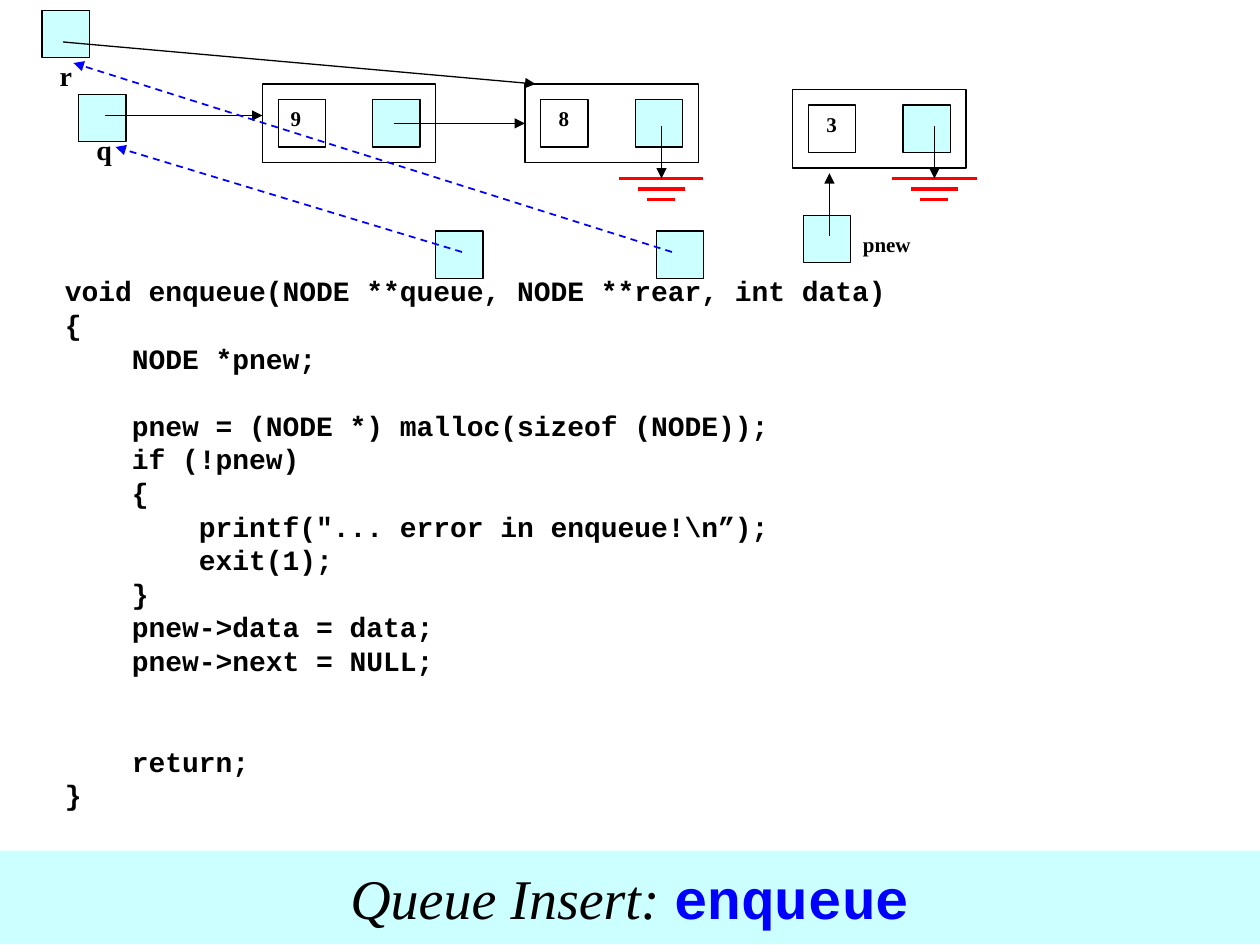
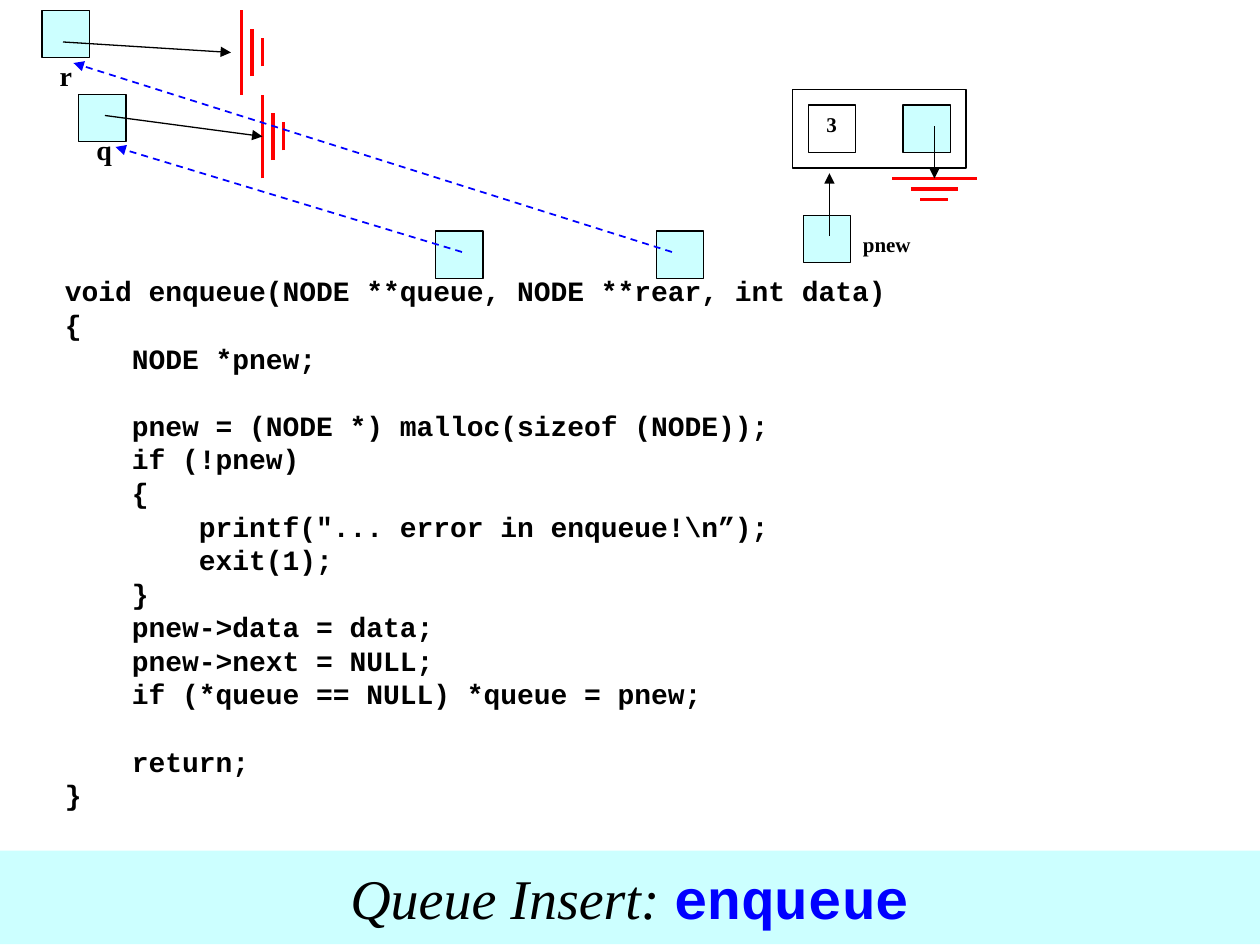
from pptx import Presentation
from pptx.dml.color import RGBColor
from pptx.enum.dml import MSO_LINE
from pptx.enum.shapes import MSO_CONNECTOR, MSO_SHAPE
from pptx.enum.text import MSO_ANCHOR, PP_ALIGN
from pptx.oxml.ns import qn
from pptx.util import Pt
from lxml import etree

BLACK = RGBColor(0x00, 0x00, 0x00)
WHITE = RGBColor(0xFF, 0xFF, 0xFF)
CYAN = RGBColor(0xCC, 0xFF, 0xFF)
BLUE = RGBColor(0x00, 0x00, 0xFF)
RED = RGBColor(0xFF, 0x00, 0x00)

SERIF, MONO = "Times New Roman", "Courier New"
LABEL = {"name": SERIF, "size": Pt(16), "bold": True}
SMALL = {"name": SERIF, "size": Pt(12), "bold": True}
CODE = {"name": MONO, "size": Pt(16), "bold": True}
TITLE = {"name": SERIF, "size": Pt(32), "italic": True}
TITLE_CODE = {"name": MONO, "size": Pt(32), "bold": True}

CELL = 27          # side of a pointer or data square
STEP = 6           # gap between the bars of a NULL symbol
CODE_PITCH = 19.2  # line height of the listing

LISTING_START = """void enqueue(NODE **queue, NODE **rear, int data)
{
    NODE *pnew;

    pnew = (NODE *) malloc(sizeof (NODE));
    if (!pnew)
    {
        printf("... error in enqueue!\\n”);
        exit(1);
    }
    pnew->data = data;
    pnew->next = NULL;
"""
LISTING_END = """

    return;
}"""
EMPTY_QUEUE_TEST = "    if (*queue == NULL) *queue = pnew;"


def set_font(font, style, color=BLACK):
    for attribute, value in style.items():
        setattr(font, attribute, value)
    font.color.rgb = color


def add_run(paragraph, text, style, color=BLACK):
    run = paragraph.add_run()
    run.text = text
    set_font(run.font, style, color)


def add_box(slide, left, top, width, height, fill=WHITE, line=BLACK):
    shape = slide.shapes.add_shape(
        MSO_SHAPE.RECTANGLE, Pt(left), Pt(top), Pt(width), Pt(height))
    shape.shadow.inherit = False
    shape.fill.solid()
    shape.fill.fore_color.rgb = fill
    if line is None:
        shape.line.fill.background()
    else:
        shape.line.color.rgb = line
        shape.line.width = Pt(0.75)
    return shape


def write_label(shape, text, style, inset=7.2):
    frame = shape.text_frame
    frame.word_wrap = True
    frame.vertical_anchor = MSO_ANCHOR.TOP
    frame.margin_left = Pt(inset)
    paragraph = frame.paragraphs[0]
    paragraph.alignment = PP_ALIGN.LEFT
    add_run(paragraph, text, style)


def add_line(slide, start, end, color=BLACK, width=0.75, dashed=False, arrow=True):
    connector = slide.shapes.add_connector(
        MSO_CONNECTOR.STRAIGHT, *(Pt(value) for value in (*start, *end)))
    connector.line.color.rgb = color
    connector.line.width = Pt(width)
    if dashed:
        connector.line.dash_style = MSO_LINE.DASH
    if arrow:
        line = connector.line._get_or_add_ln()
        etree.SubElement(line, qn("a:tailEnd"), type="triangle")
    etree.SubElement(connector._element.spPr, qn("a:effectLst"))
    return connector


def add_null(slide, x, y, vertical=False):
    """Three shrinking bars; (x, y) is the middle of the longest one."""
    for index, length in enumerate((48, 27, 16)):
        shift, half = index * STEP, length / 2
        if vertical:
            start, end = (x + shift, y + half), (x + shift, y - half)
        else:
            start, end = (x - half, y + shift), (x + half, y + shift)
        add_line(slide, start, end, RED, 2, arrow=False)


def add_node(slide, left, top, value, inset=10.2):
    """A list node: frame, next pointer and data cell."""
    frame = add_box(slide, left, top, 99, 45)
    add_box(slide, left + 63, top + 9, CELL, CELL, CYAN)
    data = add_box(slide, left + 9, top + 9, CELL, CELL)
    write_label(data, value, SMALL, inset)
    return frame


def add_null_link(slide, x, y):
    """A next pointer that leads down to NULL at (x, y)."""
    add_null(slide, x, y)
    add_line(slide, (x, 72), (x, y))


def add_pointer(slide, left, top, name, label_width):
    """A named pointer with its label below it."""
    label = add_box(slide, left + 3, top + 20, label_width, CELL, line=None)
    write_label(label, name, LABEL)


def add_queue_pointers(slide, left, top, rear_target, front_target):
    # Labels lie beneath the squares
    rear, front = (left, top), (left + 21, top + 48)
    for (x, y), name, drop, width in ((rear, "r", 24, 24), (front, "q", 18, 18)):
        label = add_box(slide, x + 3, y + drop, width, CELL, line=None)
        write_label(label, name, LABEL)
    for x, y in (rear, front):
        add_box(slide, x, y, CELL, CELL, CYAN)
    add_line(slide, (left + 12, top + 18), rear_target)
    add_line(slide, (left + 36, top + 60), front_target)
    # Arguments of the function, pointing back at q and r
    for x, tip, offset in ((225, (42, 78), 15), (351, (18, 30), 9)):
        add_box(slide, left + x, top + 126, CELL, CELL, CYAN)
        add_line(slide, (left + x + offset, top + 138),
                 (left + tip[0], top + tip[1]), BLUE, 1, dashed=True)


def add_new_node(slide, left, top):
    add_node(slide, left, top, "3")
    label = add_box(slide, left + 33, top + 78, 54, CELL, line=None)
    write_label(label, "pnew", SMALL)
    add_box(slide, left + 6, top + 72, CELL, CELL, CYAN)
    add_line(slide, (left + 21, top + 84), (left + 21, top + 48))
    add_null_link(slide, left + 81, top + 51)


def add_listing(slide, left, top, width, height, extra_line):
    box = slide.shapes.add_textbox(Pt(left), Pt(top), Pt(width), Pt(height))
    frame = box.text_frame
    frame.word_wrap = True
    paragraph, gap = frame.paragraphs[0], 0
    for number, text in enumerate((LISTING_START + extra_line + LISTING_END).split("\n")):
        if not text:
            gap += CODE_PITCH
            continue
        if number:
            paragraph = frame.add_paragraph()
        paragraph.line_spacing = Pt(CODE_PITCH)
        if gap:
            paragraph.space_before = Pt(round(gap, 1))
        add_run(paragraph, text, CODE)
        gap = 0


def add_title_band(slide, left, top, width, height):
    band = add_box(slide, left, top, width, height, CYAN, None)
    frame = band.text_frame
    frame.word_wrap = False
    frame.vertical_anchor = MSO_ANCHOR.MIDDLE
    paragraph = frame.paragraphs[0]
    paragraph.alignment = PP_ALIGN.CENTER
    add_run(paragraph, "Queue Insert: ", TITLE)
    add_run(paragraph, "enqueue", TITLE_CODE, BLUE)


def add_filled_queue(slide, left, top):
    add_node(slide, left, top, "9", inset=7.2)
    last = add_node(slide, left + 150, top, "8")
    link = add_line(slide, (left + 75, top + 22.5), (left + 150, top + 22.5))
    link.end_connect(last, 1)
    add_null_link(slide, left + 228, top + 54)


def add_empty_queue(slide, left, top):
    add_null(slide, left, top, vertical=True)
    add_null(slide, left + 12, top + 48, vertical=True)


def add_enqueue_slide(presentation, draw_queue, origin, targets, extra_line=""):
    slide = presentation.slides.add_slide(presentation.slide_layouts[6])
    add_listing(slide, 30, 153, 516, 353, extra_line)
    draw_queue(slide, *origin)
    add_queue_pointers(slide, 24, 6, *targets)
    add_new_node(slide, 453, 51)
    add_title_band(slide, 0, 486, 720, 53.5)


def main():
    presentation = Presentation()
    presentation.slide_width, presentation.slide_height = Pt(720), Pt(540)
    add_enqueue_slide(presentation, add_filled_queue, (150, 48),
                      ((306, 48), (150, 66)))
    add_enqueue_slide(presentation, add_empty_queue, (138, 30),
                      ((132, 30), (150, 78)), EMPTY_QUEUE_TEST)
    presentation.save("out.pptx")


if __name__ == "__main__":
    main()
